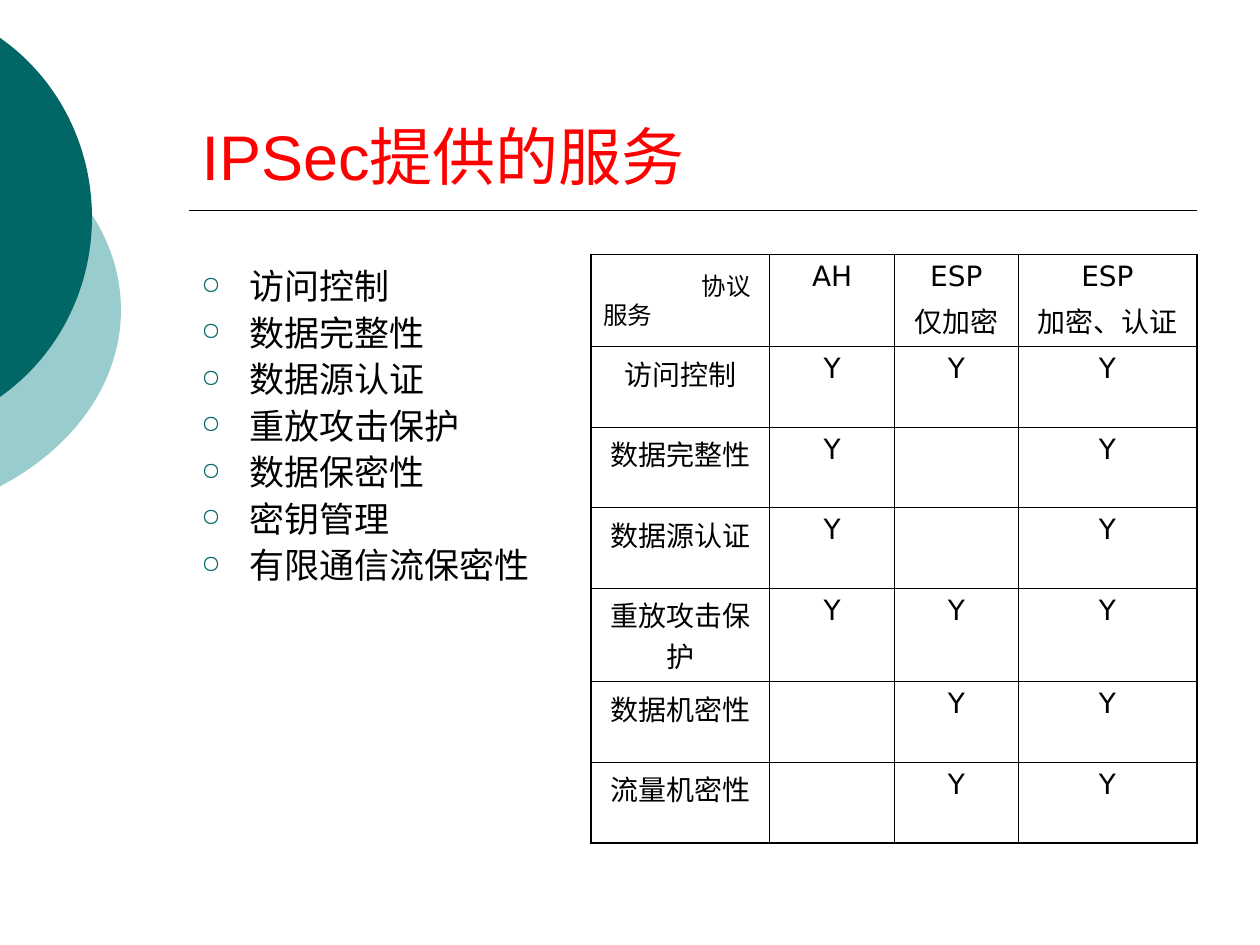
from collections import namedtuple

from lxml.etree import SubElement
from pptx import Presentation
from pptx.dml.color import RGBColor
from pptx.enum.shapes import MSO_CONNECTOR as Connector
from pptx.enum.text import MSO_ANCHOR as Anchor, MSO_AUTO_SIZE as AutoSize, PP_ALIGN as Align
from pptx.oxml import parse_xml
from pptx.oxml.ns import nsdecls, qn
from pptx.util import Emu, Inches, Pt

Box = namedtuple("Box", "left top width height")
COLUMNS, ROWS = 10, 7.5
UNIT = Inches(1)
BODY_FONT, TITLE_FONT = "DejaVu Sans", "Arial"
BLACK, RED, TEAL, PALE = "000000", "FF0000", "006666", "99CCCC"

SERVICES = ["访问控制", "数据完整性", "数据源认证", "重放攻击保护",
            "数据保密性", "密钥管理", "有限通信流保密性"]
HEADER = ["", "AH", "ESP\n仅加密", "ESP\n加密、认证"]
SUPPORT = {"访问控制": "YYY", "数据完整性": "Y Y", "数据源认证": "Y Y",
           "重放攻击保护": "YYY", "数据机密性": " YY", "流量机密性": " YY"}
COLUMN_WIDTHS = [1.42, 0.99, 0.98, 1.42]
ROW_HEIGHTS = [0.73, 0.64, 0.64, 0.64, 0.74, 0.64, 0.64]


def color(value):
    """Turn a hex string into a colour."""
    return RGBColor.from_string(value)


def grid(box):
    """Convert a box in grid units to lengths."""
    return [Emu(round(value * UNIT)) for value in box]


def apply(target, values):
    """Set every attribute named in a dict."""
    for name, value in values.items():
        setattr(target, name, value)


def write(frame, lines, size, font=BODY_FONT, ink=BLACK, **layout):
    """Write one formatted paragraph for each line and return them."""
    frame.text = "\n".join(lines)
    for para in frame.paragraphs:
        apply(para, layout)
        apply(para.font, {"size": Pt(size), "name": font})
        para.font.color.rgb = color(ink)
    return frame.paragraphs


def add_points(parent, tag, points):
    """Add a drawing command with its points to an outline."""
    command = SubElement(parent, qn(f"a:{tag}"))
    for x, y in points:
        SubElement(command, qn("a:pt"), x=str(round(x * UNIT)), y=str(round(y * UNIT)))


def add_arc(page, frame, arc, fill):
    """Draw the right-hand arc segment of a frame that runs past the slide's left edge."""
    corners = [(frame.left + frame.width, frame.top),
               (frame.left + frame.width, frame.top + frame.height),
               (frame.left, frame.top + frame.height)]
    builder = page.shapes.build_freeform(frame.left * UNIT, frame.top * UNIT)
    builder.add_line_segments([(x * UNIT, y * UNIT) for x, y in corners])
    shape = builder.convert_to_shape()
    shape.shadow.inherit = False
    shape.fill.solid()
    shape.fill.fore_color.rgb = color(fill)
    shape.line.fill.background()
    left, top = arc.left - frame.left, arc.top - frame.top
    shares = [(0, 0), (0.63, 0.113), (1, 0.3), (1, 0.5)]
    shares += [(x, 1 - y) for x, y in reversed(shares[:-1])]
    points = [(left + x * arc.width, top + y * arc.height) for x, y in shares]
    outline = next(shape.element.iter(qn("a:path")))
    for command in list(outline):
        outline.remove(command)
    add_points(outline, "moveTo", points[:1])
    add_points(outline, "cubicBezTo", points[1:4])
    add_points(outline, "cubicBezTo", points[4:])
    SubElement(outline, qn("a:close"))


def add_rule(page, box):
    """Draw a horizontal rule along the top of a box."""
    left, top, width, _ = grid(box)
    rule = page.shapes.add_connector(Connector.STRAIGHT, left, top, left + width, top)
    rule.line.width = Pt(1)
    rule.line.color.rgb = color(BLACK)
    SubElement(rule.element.spPr, qn("a:effectLst"))


def add_title(page, box, text):
    """Place and format the title placeholder."""
    title = page.shapes.title
    apply(title, dict(zip(Box._fields, grid(box))))
    apply(title.text_frame, {"vertical_anchor": Anchor.BOTTOM, "word_wrap": True,
                             "auto_size": AutoSize.NONE})
    write(title.text_frame, [text], 36, TITLE_FONT, RED, alignment=Align.LEFT)


def add_bullets(page, box, lines):
    """Place a list with hollow round bullets."""
    frame = page.shapes.add_textbox(*grid(box)).text_frame
    frame.word_wrap = True
    indent = Inches(0.38)
    for para in write(frame, lines, 20, line_spacing=0.9, space_before=Pt(5)):
        properties = para._p.get_or_add_pPr()
        properties.set("marL", str(indent))
        properties.set("indent", str(-indent))
        bullet_color = SubElement(properties, qn("a:buClr"))
        SubElement(bullet_color, qn("a:srgbClr"), val=TEAL)
        SubElement(properties, qn("a:buSzPct"), val="70000")
        SubElement(properties, qn("a:buChar"), char="○")


def set_borders(cell, outer_sides):
    """Draw thick borders on the outer sides of a cell and thin ones elsewhere."""
    properties = cell._tc.get_or_add_tcPr()
    for index, side in enumerate("LRTB"):
        width = Pt(1.08 if side in outer_sides else 0.45)
        properties.insert(index, parse_xml(
            f'<a:ln{side} {nsdecls("a")} w="{width}"><a:solidFill>'
            f'<a:srgbClr val="{BLACK}"/></a:solidFill></a:ln{side}>'))


def add_label(page, box, text):
    """Place a small label in the split header cell."""
    frame = page.shapes.add_textbox(*grid(box)).text_frame
    frame.word_wrap = True
    write(frame, [text], 14, space_before=Pt(8.8))


def add_support_table(page, box):
    """Place the table of services offered by each protocol with its corner labels."""
    content = [HEADER] + [[service, *marks] for service, marks in SUPPORT.items()]
    last_row, last_column = len(content) - 1, len(HEADER) - 1
    table = page.shapes.add_table(len(content), len(HEADER), *grid(box)).table
    apply(table, {"first_row": False, "horz_banding": False})
    for column, width in zip(table.columns, COLUMN_WIDTHS):
        column.width = Inches(width)
    for row, height in zip(table.rows, ROW_HEIGHTS):
        row.height = Inches(height)
    for r, texts in enumerate(content):
        for c, text in enumerate(texts):
            cell = table.cell(r, c)
            cell.fill.background()
            write(cell.text_frame, text.strip().split("\n"), 16,
                  alignment=Align.CENTER, space_before=Pt(4))
            edges = {"L": c == 0, "R": c == last_column, "T": r == 0, "B": r == last_row}
            set_borders(cell, [side for side, outer in edges.items() if outer])
    label_width, label_height = 0.63, 0.34
    add_label(page, Box(box.left + 0.78, box.top + 0.08, label_width, label_height), "协议")
    add_label(page, Box(box.left, box.top + 0.31, label_width, label_height), "服务")


def main():
    """Build the slide and save the deck."""
    deck = Presentation()
    apply(deck, {"slide_width": Inches(COLUMNS), "slide_height": Inches(ROWS)})
    page = deck.slides.add_slide(deck.slide_layouts[5])
    add_arc(page, Box(-3.54, 0.75, 4.5, 3.42), Box(0, 1.06, 0.96, 2.8), PALE)
    add_arc(page, Box(-2.65, 0, 3.38, 3.45), Box(0, 0.3, 0.73, 2.85), TEAL)
    add_rule(page, Box(1.5, 1.67, 8, 0))
    add_title(page, Box(1.5, 0.33, 8, 1.25), "IPSec提供的服务")
    add_bullets(page, Box(1.5, 2.09, 3.03, 4.5), SERVICES)
    add_support_table(page, Box(4.69, 2.02, sum(COLUMN_WIDTHS), sum(ROW_HEIGHTS)))
    deck.save("out.pptx")


if __name__ == "__main__":
    main()
